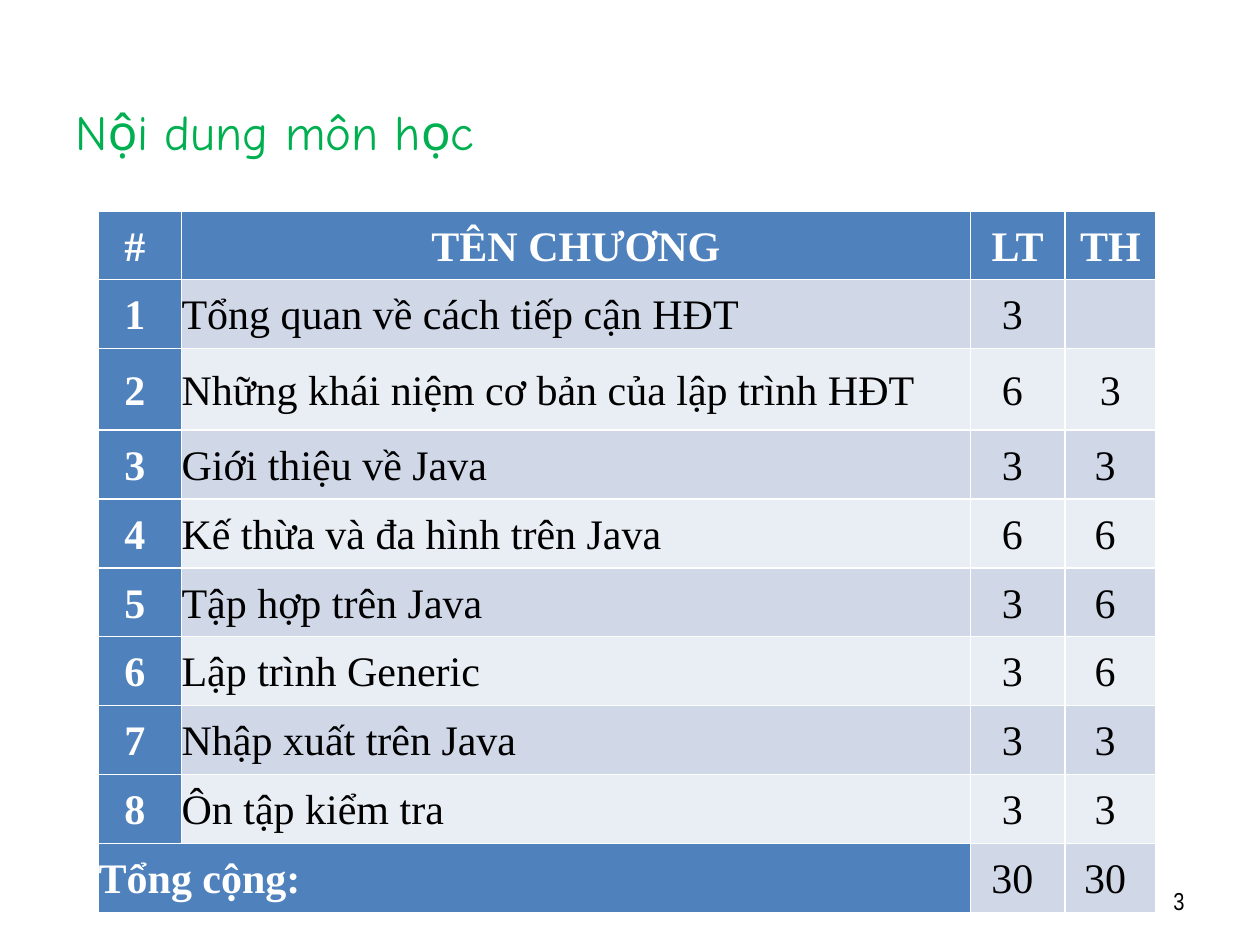
from pptx import Presentation
from pptx.dml.color import RGBColor
from pptx.enum import text
from pptx.util import Cm, Pt

TITLE = "Nội dung môn học"
PAGE_NUMBER = "3"
CHAPTERS = [
    ("# ", "TÊN CHƯƠNG", "LT", "TH"),
    ("1 ", "Tổng quan về cách tiếp cận HĐT", "3 ", ""),
    ("2 ", "Những khái niệm cơ bản của lập trình HĐT", "6 ", "3"),
    ("3 ", "Giới thiệu về Java", "3 ", "3 "),
    ("4 ", "Kế thừa và đa hình trên Java", "6 ", "6 "),
    ("5 ", "Tập hợp trên Java", "3 ", "6 "),
    ("6 ", "Lập trình Generic", "3 ", "6 "),
    ("7 ", "Nhập xuất trên Java", "3 ", "3 "),
    ("8 ", "Ôn tập kiểm tra", "3 ", "3 "),
    ("Tổng cộng:", "", "30 ", "30 "),
]
COLUMN_WIDTHS = [1.67, 15.9, 1.91, 1.83]
ROW_HEIGHT, TALL_ROW_HEIGHT, TALL_ROW = 1.39, 1.64, 2
TOTAL_ROW = len(CHAPTERS) - 1

WHITE, BLACK, GREEN = "FFFFFF", "000000", "00B050"
BLUE, BANDS = "4F81BD", ("E9EDF4", "D0D8E8")
LEFT, CENTER, RIGHT = text.PP_ALIGN.LEFT, text.PP_ALIGN.CENTER, text.PP_ALIGN.RIGHT


def write(frame, words, font, size, color, align, bold=False):
    paragraph = frame.paragraphs[0]
    paragraph.text = words
    paragraph.alignment = align
    paragraph.font.name = font
    paragraph.font.size = Pt(size)
    paragraph.font.bold = bold
    paragraph.font.color.rgb = RGBColor.from_string(color)
    return paragraph


def fill_cell(cell, words, row, column):
    is_heading = row == 0 or column == 0
    is_name = (column == 1 and row > 0) or (column == 0 and row == TOTAL_ROW)
    cell.fill.solid()
    cell.fill.fore_color.rgb = RGBColor.from_string(BLUE if is_heading else BANDS[row % 2])
    cell.margin_left = cell.margin_right = cell.margin_top = cell.margin_bottom = 0
    cell.vertical_anchor = text.MSO_ANCHOR.MIDDLE
    paragraph = write(cell.text_frame, words, "Times New Roman", 24,
                      WHITE if is_heading else BLACK,
                      LEFT if is_name else CENTER, is_heading)
    paragraph.line_spacing = 1.07


def main():
    deck = Presentation()
    deck.slide_width, deck.slide_height = Cm(25.4), Cm(19.05)
    slide = deck.slides.add_slide(deck.slide_layouts[5])

    title = slide.shapes.title
    title.left, title.top, title.width, title.height = Cm(1.27), Cm(1.91), Cm(22.86), Cm(2.54)
    title.text_frame.vertical_anchor = text.MSO_ANCHOR.TOP
    write(title.text_frame, TITLE, "Comic Neue", 28, GREEN, LEFT)

    page = slide.shapes.add_textbox(Cm(18.21), Cm(17.65), Cm(5.92), Cm(1.02)).text_frame
    page.word_wrap = True
    page.vertical_anchor = text.MSO_ANCHOR.MIDDLE
    write(page, PAGE_NUMBER, "Arial Narrow", 14, BLACK, RIGHT)

    heights = [TALL_ROW_HEIGHT if row == TALL_ROW else ROW_HEIGHT
               for row in range(len(CHAPTERS))]
    table = slide.shapes.add_table(
        len(CHAPTERS), len(COLUMN_WIDTHS), Cm(1.99), Cm(4.25),
        Cm(sum(COLUMN_WIDTHS)), Cm(sum(heights))).table
    table.first_col = True
    for column, width in zip(table.columns, COLUMN_WIDTHS):
        column.width = Cm(width)
    for table_row, height in zip(table.rows, heights):
        table_row.height = Cm(height)
    for row, chapter in enumerate(CHAPTERS):
        for column, words in enumerate(chapter):
            fill_cell(table.cell(row, column), words, row, column)
    table.cell(TOTAL_ROW, 0).merge(table.cell(TOTAL_ROW, 1))

    deck.save("out.pptx")


if __name__ == "__main__":
    main()
